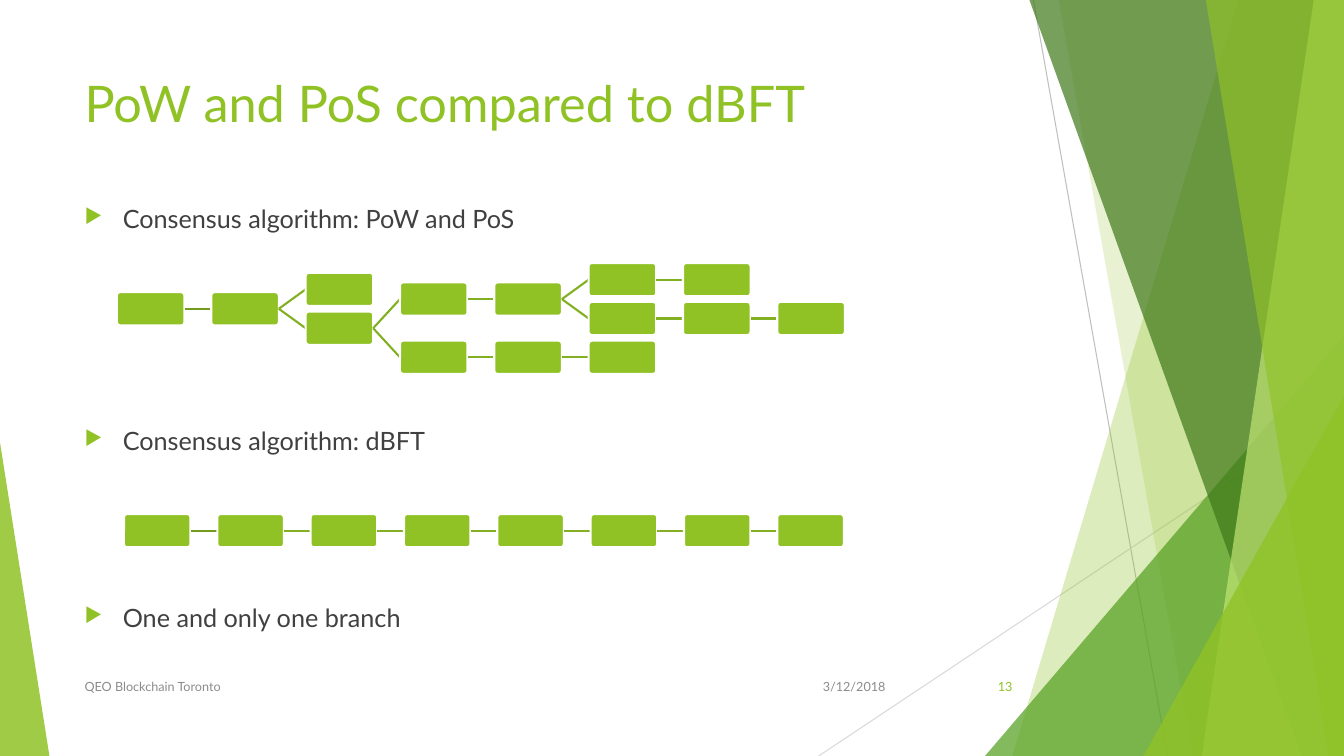
import dataclasses

import lxml.etree
import pptx
import pptx.dml.color
import pptx.enum.shapes
import pptx.enum.text
import pptx.oxml.ns
import pptx.util

Inches = pptx.util.Inches
Pt = pptx.util.Pt
PP_ALIGN = pptx.enum.text.PP_ALIGN
ANCHOR = pptx.enum.text.MSO_ANCHOR
SHAPE = pptx.enum.shapes.MSO_SHAPE
qn = pptx.oxml.ns.qn
rgb = pptx.dml.color.RGBColor.from_string


@dataclasses.dataclass(frozen=True)
class Theme:
    font: str = "Lato"
    green: str = "90C226"
    deep_green: str = "54A021"
    dark_green: str = "3F7819"
    pale_green: str = "C0E474"
    first_link: str = "739B1E"
    link: str = "83B022"
    white: str = "FFFFFF"
    body: str = "404040"
    footer: str = "8C8C8C"
    gray: str = "BFBFBF"
    light_gray: str = "D9D9D9"
    title_size: int = 36
    body_size: int = 18
    footer_size: int = 9
    block_border: float = 1.5
    hairline: float = 0.75


theme = Theme()


def paint(shape, color, opacity=100):
    """Fill without border or shadow, at the given opacity in percent."""
    shape.shadow.inherit = False
    shape.fill.solid()
    shape.fill.fore_color.rgb = rgb(color)
    shape.line.fill.background()
    if opacity < 100:
        tint = shape._element.spPr.find(".//" + qn("a:srgbClr"))
        lxml.etree.SubElement(tint, qn("a:alpha"), val=str(opacity * 1000))


def draw_line(start, end, color, width):
    line = slide.shapes.add_connector(
        pptx.enum.shapes.MSO_CONNECTOR.STRAIGHT,
        *map(Inches, start), *map(Inches, end))
    line.line.color.rgb = rgb(color)
    line.line.width = Pt(width)
    lxml.etree.SubElement(line._element.spPr, qn("a:effectLst"))
    return line


deck = pptx.Presentation()
deck.slide_width, deck.slide_height = Inches(13.33), Inches(7.5)
slide = deck.slides.add_slide(deck.slide_layouts[6])

# Backdrop lines
draw_line((10.25, 0), (11.58, 7.5), theme.gray, theme.hairline)
draw_line((13.33, 4.03), (8.12, 7.5), theme.light_gray, theme.hairline)

# Backdrop facets: strips (top x, bottom x) reach the right edge,
# triangles are (left, top, width, height, apex)
facets = [
    ((12.28, 10.04), theme.green, 30),
    ((10.5, 11.83), theme.green, 20),
    ((9.77, 3.33, 3.56, 4.17, 1), theme.deep_green, 72),
    ((10.21, 12.91), theme.dark_green, 70),
    ((13.03, 11.92), theme.pale_green, 70),
    ((11.96, 13.18), theme.green, 65),
    ((11.34, 3.93, 1.99, 3.57, 1), theme.green, 80),
    ((0, 4.39, 0.49, 3.11, 0), theme.green, 85),
]
for geometry, color, opacity in facets:
    if len(geometry) == 2:
        top_x, bottom_x = map(Inches, geometry)
        outline = slide.shapes.build_freeform(top_x, 0)
        outline.add_line_segments([
            (deck.slide_width, 0),
            (deck.slide_width, deck.slide_height),
            (bottom_x, deck.slide_height)], close=True)
        facet = outline.convert_to_shape()
    else:
        *bounds, apex = geometry
        facet = slide.shapes.add_shape(SHAPE.ISOSCELES_TRIANGLE, *map(Inches, bounds))
        facet.adjustments[0] = apex
    paint(facet, color, opacity)

# Title, bullets and footer: bounds, size, color, anchor, alignment, bulleted,
# then (wording, space before) for each paragraph
texts = [
    ((0.74, 0.67, 11.27, 1.12), theme.title_size, theme.green, ANCHOR.TOP,
     PP_ALIGN.LEFT, False, [("PoW and PoS compared to dBFT", 0)]),
    ((0.74, 1.97, 11.27, 4.64), theme.body_size, theme.body, ANCHOR.TOP,
     PP_ALIGN.LEFT, True, [("Consensus algorithm: PoW and PoS", 0),
                           ("Consensus algorithm: dBFT", 137),
                           ("One and only one branch", 105)]),
    ((7.88, 6.61, 1, 0.4), theme.footer_size, theme.footer, ANCHOR.MIDDLE,
     PP_ALIGN.RIGHT, False, [("3/12/2018", 0)]),
    ((0.74, 6.61, 6.89, 0.4), theme.footer_size, theme.footer, ANCHOR.MIDDLE,
     PP_ALIGN.LEFT, False, [("QEO Blockchain Toronto", 0)]),
    ((9.39, 6.61, 0.75, 0.4), theme.footer_size, theme.green, ANCHOR.MIDDLE,
     PP_ALIGN.RIGHT, False, [("13", 0)]),
]
for bounds, size, color, anchor, alignment, bulleted, lines in texts:
    frame = slide.shapes.add_textbox(*map(Inches, bounds)).text_frame
    frame.word_wrap = True
    frame.vertical_anchor = anchor
    for number, (wording, space_before) in enumerate(lines):
        paragraph = frame.add_paragraph() if number else frame.paragraphs[0]
        run = paragraph.add_run()
        formats = {
            paragraph: {"alignment": alignment, "space_before": Pt(space_before)},
            run: {"text": wording},
            run.font: {"name": theme.font, "size": Pt(size)},
        }
        for target, values in formats.items():
            for attribute, value in values.items():
                setattr(target, attribute, value)
        run.font.color.rgb = rgb(color)
        if bulleted:
            properties = paragraph._p.get_or_add_pPr()
            properties.set("marL", str(Inches(0.38)))
            properties.set("indent", str(-Inches(0.38)))
            tint = lxml.etree.SubElement(properties, qn("a:buClr"))
            lxml.etree.SubElement(tint, qn("a:srgbClr"), val=theme.green)
            lxml.etree.SubElement(properties, qn("a:buSzPct"), val="80000")
            lxml.etree.SubElement(properties, qn("a:buChar"), char="▶")

# Block chains: each block is (column, row, index of the block it follows)
forked_blocks = [
    (0, 3, None), (1, 3, 0), (2, 1, 1), (2, 5, 1),
    (3, 2, 3), (4, 2, 4), (5, 0, 5), (6, 0, 6),
    (5, 4, 5), (6, 4, 8), (7, 4, 9),
    (3, 8, 3), (4, 8, 11), (5, 8, 12),
]
single_blocks = [(column, 0, column - 1 if column else None) for column in range(8)]
last_left = 7.71
block_height = 0.33
row_step = (3.38 - 2.61) / 8
chains = [(1.16, 2.61, 0.67, forked_blocks), (1.23, 5.1, 0.66, single_blocks)]

for first_left, top, block_width, blocks in chains:
    column_step = (last_left - first_left) / 7
    drawn = []
    for column, row, previous in blocks:
        block = slide.shapes.add_shape(
            SHAPE.ROUNDED_RECTANGLE,
            Inches(first_left + column * column_step), Inches(top + row * row_step),
            Inches(block_width), Inches(block_height))
        block.adjustments[0] = 0.1
        paint(block, theme.green)
        block.line.color.rgb = rgb(theme.white)
        block.line.width = Pt(theme.block_border)
        drawn.append(block)
        if previous is not None:
            link_color = theme.link if previous else theme.first_link
            link = draw_line((0, 0), (0, 0), link_color, theme.block_border)
            link.begin_connect(drawn[previous], 3)
            link.end_connect(block, 1)
            # The block's white border covers the end of its link
            block._element.addprevious(link._element)

deck.save("out.pptx")
